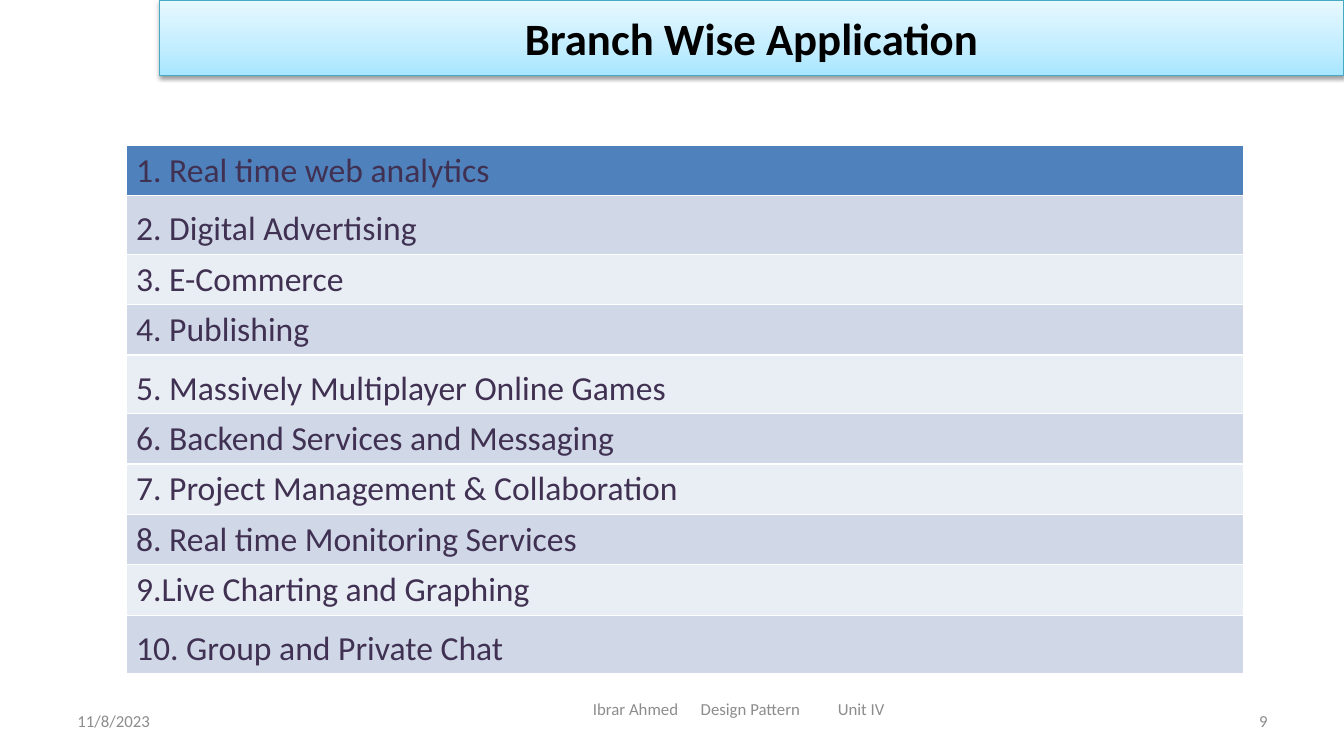
"""Build the Branch Wise Application slide."""
import copy

from lxml import etree
from pptx import Presentation
from pptx import util as u
from pptx.dml.color import RGBColor
from pptx.enum import shapes, text
from pptx.oxml import ns

PX = 9144
FONT = "Calibri"
BLACK = RGBColor(0x00, 0x00, 0x00)
GREY = RGBColor(0x8C, 0x8C, 0x8C)
PURPLE = RGBColor(0x40, 0x31, 0x52)
TEAL = RGBColor(0x46, 0xAA, 0xC5)
HEADER_BLUE = RGBColor(0x4F, 0x81, 0xBD)
BANDS = [RGBColor(0xE9, 0xED, 0xF4), RGBColor(0xD0, 0xD8, 0xE8)]
TITLE_STOPS = [
    (0, RGBColor(0xA7, 0xE6, 0xFF)),
    (0.35, RGBColor(0xC1, 0xED, 0xFF)),
    (1, RGBColor(0xE7, 0xF8, 0xFF)),
]
APPLICATIONS = [
    "1. Real time web analytics",
    "2. Digital Advertising",
    "3. E-Commerce",
    "4. Publishing",
    "5. Massively Multiplayer Online Games",
    "6. Backend Services and Messaging",
    "7. Project Management & Collaboration",
    "8. Real time Monitoring Services",
    "9.Live Charting and Graphing",
    "10. Group and Private Chat",
]
LOOSE_ROWS = {1, 4, 9}


def px(*lengths):
    """Turn pixel lengths into EMU."""
    return [length * PX for length in lengths]


def style_runs(para, size, color, bold=False):
    """Format every run of a paragraph."""
    for span in para.runs:
        span.font.name = FONT
        span.font.size = u.Pt(size)
        span.font.bold = bold
        span.font.color.rgb = color


def add_tabs(para, positions):
    """Give a paragraph left tab stops."""
    tabs = etree.SubElement(para._p.get_or_add_pPr(), ns.qn("a:tabLst"))
    for position in px(*positions):
        etree.SubElement(tabs, ns.qn("a:tab"), pos=str(position), algn="l")


def add_footer(page, words, place, align, indent=10, tabs=()):
    """Add one grey footer text."""
    box = page.shapes.add_textbox(*px(*place))
    frame = box.text_frame
    frame.word_wrap = True
    frame.vertical_anchor = text.MSO_ANCHOR.MIDDLE
    frame.margin_left = indent * PX
    frame.text = words
    para = frame.paragraphs[0]
    para.alignment = align
    if tabs:
        add_tabs(para, tabs)
    style_runs(para, 12, GREY)


def fill_gradient(shape, stops, angle):
    """Fill a shape with a linear gradient."""
    shape.fill.gradient()
    shape.fill.gradient_angle = angle
    first = shape.fill.gradient_stops[0]._gs
    first.addnext(copy.deepcopy(first))
    for stop, (position, color) in zip(shape.fill.gradient_stops, stops):
        stop.position = position
        stop.color.rgb = color


def add_shadow(shape):
    """Give a shape a soft shadow below it."""
    shape.shadow.inherit = False
    effects = shape._element.spPr.find(ns.qn("a:effectLst"))
    shadow = etree.SubElement(
        effects, ns.qn("a:outerShdw"), blurRad=str(u.Pt(3.1)),
        dist=str(u.Pt(1.6)), dir="5400000", rotWithShape="0")
    color = etree.SubElement(shadow, ns.qn("a:srgbClr"), val=str(BLACK))
    etree.SubElement(color, ns.qn("a:alpha"), val="38000")


def add_title(page, words, place):
    """Add the gradient title bar."""
    bar = page.shapes.add_shape(shapes.MSO_SHAPE.RECTANGLE, *px(*place))
    fill_gradient(bar, TITLE_STOPS, 90)
    bar.line.color.rgb = TEAL
    bar.line.width = u.Pt(0.75)
    add_shadow(bar)
    frame = bar.text_frame
    frame.text = words
    frame.vertical_anchor = text.MSO_ANCHOR.MIDDLE
    frame.paragraphs[0].alignment = text.PP_ALIGN.CENTER
    style_runs(frame.paragraphs[0], 32, BLACK, bold=True)


def add_application_table(page, left, top, width, row_height):
    """Add the banded list of applications."""
    count = len(APPLICATIONS)
    place = px(left, top, width, row_height * count)
    table = page.shapes.add_table(count, 1, *place).table
    for index, words in enumerate(APPLICATIONS):
        cell = table.cell(index, 0)
        cell.fill.solid()
        cell.fill.fore_color.rgb = BANDS[index % 2] if index else HEADER_BLUE
        cell.text_frame.text = words
        para = cell.text_frame.paragraphs[0]
        if index in LOOSE_ROWS:
            para.line_spacing = 1.2
        style_runs(para, 24, PURPLE)


def main():
    """Build and save the deck."""
    deck = Presentation()
    deck.slide_width, deck.slide_height = px(1333, 750)
    page = deck.slides.add_slide(deck.slide_layouts[6])
    align = text.PP_ALIGN
    add_footer(page, "11/8/2023", (67, 695, 311, 40), align.LEFT)
    add_footer(page, "Ibrar Ahmed\tDesign Pattern\tUnit IV",
               (475, 683, 517, 40), align.LEFT, 113, (107, 243))
    add_footer(page, "9", (956, 695, 311, 40), align.RIGHT)
    add_title(page, "Branch Wise Application", (158, 0, 1175, 75))
    add_application_table(page, 125, 144, 1108, 41)
    deck.save("out.pptx")


if __name__ == "__main__":
    main()
